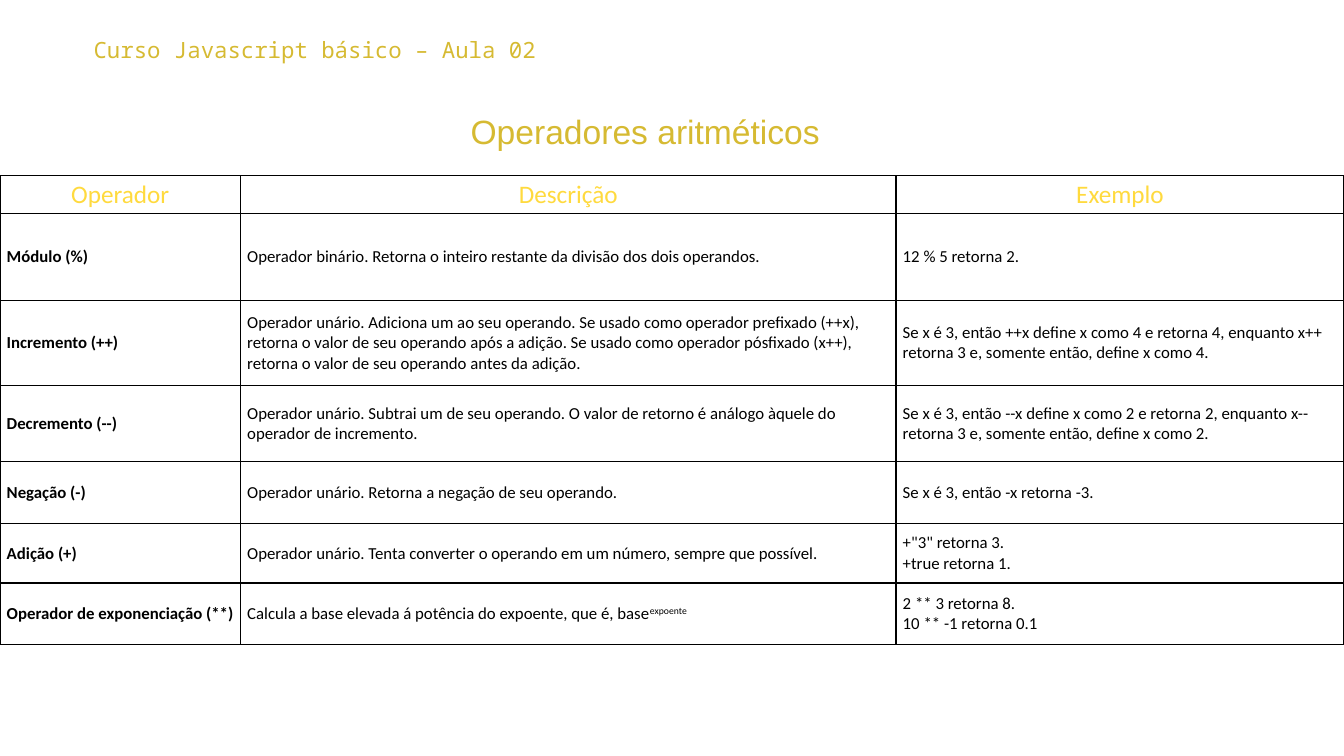
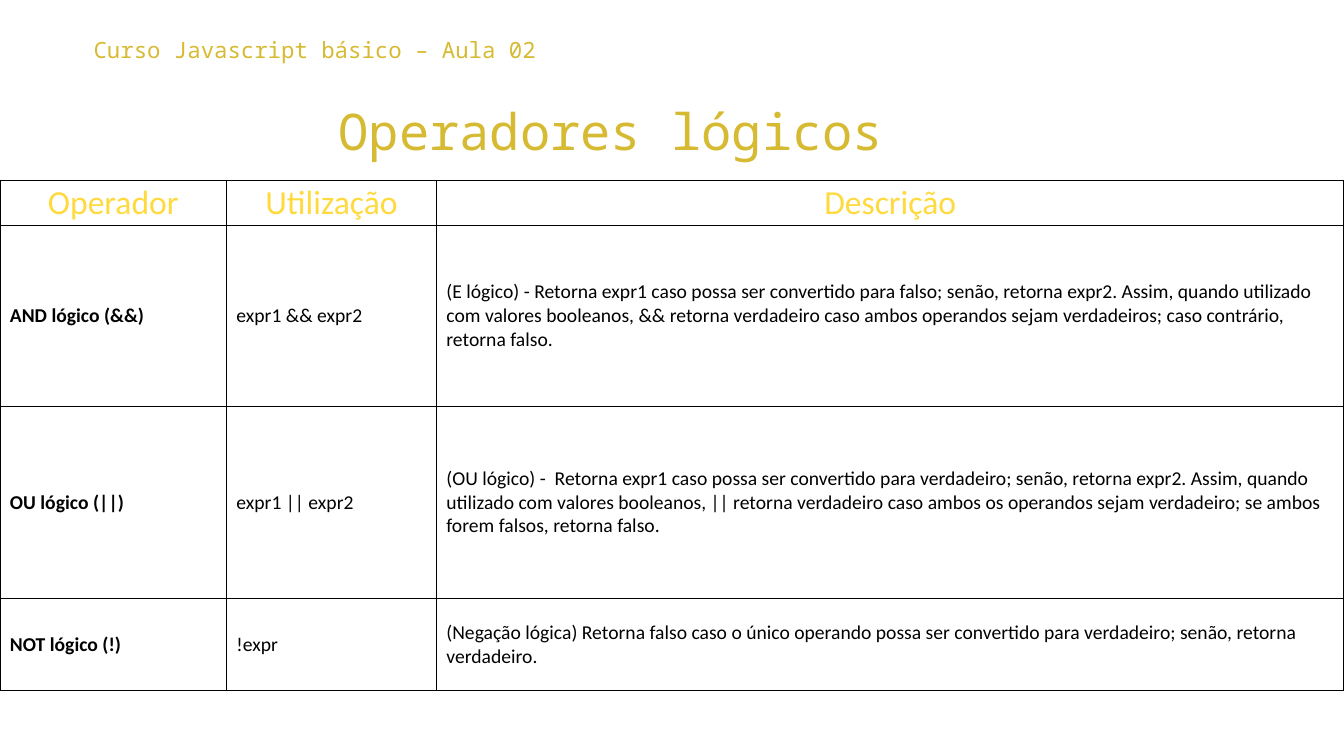
"""Builds two lesson slides with tables of JavaScript operators."""
import lxml.etree
import pptx
import pptx.dml.color
import pptx.enum.text
import pptx.oxml
import pptx.oxml.ns
import pptx.util

Cm = pptx.util.Cm
Pt = pptx.util.Pt
ALIGN = pptx.enum.text.PP_ALIGN
ANCHOR = pptx.enum.text.MSO_ANCHOR
AUTO_SIZE = pptx.enum.text.MSO_AUTO_SIZE

THEME = {
    "gold": pptx.dml.color.RGBColor.from_string("D6BA32"),
    "yellow": pptx.dml.color.RGBColor.from_string("FFDA3E"),
    "black": pptx.dml.color.RGBColor.from_string("000000"),
    "white": pptx.dml.color.RGBColor.from_string("FFFFFF"),
    "border": "000000",
    "border_width": Pt(1),
    "mono": "Noto Sans Mono",
    "sans": "Arial",
    "table": "Calibri",
    "course_size": 16,
}

COURSE = {
    "text": "Curso Javascript básico – Aula 02",
    "box": (2.03, 0.58, 30.56, 1.42),
    "font": {"name": THEME["mono"], "size": Pt(THEME["course_size"])},
    "align": ALIGN.LEFT,
    "frame": {
        "word_wrap": True,
        "margin_left": Cm(0.33),
        "margin_right": Cm(0.33),
        "margin_top": Cm(0.33),
        "margin_bottom": Cm(0.33),
    },
}

SLIDES = [
    {
        "title": {
            "text": "Operadores aritméticos",
            "box": (11.56, 2.67, 9.4, 1.28),
            "font": {"name": THEME["sans"], "size": Pt(24)},
            "align": ALIGN.CENTER,
            "frame": {
                "word_wrap": False,
                "auto_size": AUTO_SIZE.SHAPE_TO_FIT_TEXT,
                "vertical_anchor": ANCHOR.MIDDLE,
            },
        },
        "top": 4.43,
        "columns": [6.06, 16.52, 11.29],
        "rows": [0.93, 2.2, 2.14, 1.92, 1.56, 1.5, 1.55],
        "header_size": 18,
        "body_size": 12,
        "header_margins": (0.17, 0.09),
        "body_margins": (0.17, 0.09),
        "cells": [
            ["Operador", "Descrição", "Exemplo"],
            [
                "Módulo (%)",
                "Operador binário. Retorna o inteiro restante da divisão dos dois operandos.",
                "12 % 5 retorna 2.",
            ],
            [
                "Incremento (++)",
                "Operador unário. Adiciona um ao seu operando. Se usado como operador "
                "prefixado (++x), retorna o valor de seu operando após a adição. Se usado "
                "como operador pósfixado (x++), retorna o valor de seu operando antes da adição.",
                "Se x é 3, então ++x define x como 4 e retorna 4, enquanto x++ retorna 3 e, "
                "somente então, define x como 4.",
            ],
            [
                "Decremento (--)",
                "Operador unário. Subtrai um de seu operando. O valor de retorno é análogo "
                "àquele do operador de incremento.",
                "Se x é 3, então --x define x como 2 e retorna 2, enquanto x-- retorna 3 e, "
                "somente então, define x como 2.",
            ],
            [
                "Negação (-)",
                "Operador unário. Retorna a negação de seu operando.",
                "Se x é 3, então -x retorna -3.",
            ],
            [
                "Adição (+)",
                "Operador unário. Tenta converter o operando em um número, sempre que possível.",
                '+"3" retorna 3.\n+true retorna 1.',
            ],
            [
                "Operador de exponenciação (**) ",
                "Calcula a base elevada á potência do expoente, que é, base^expoente",
                "2 ** 3 retorna 8.\n10 ** -1 retorna 0.1",
            ],
        ],
    },
    {
        "title": {
            "text": "Operadores lógicos",
            "box": (6.91, 2.39, 16.97, 1.8),
            "font": {"name": THEME["mono"], "size": Pt(36)},
            "align": ALIGN.CENTER,
            "frame": {"word_wrap": True, "auto_size": AUTO_SIZE.SHAPE_TO_FIT_TEXT},
        },
        "top": 4.55,
        "columns": [5.71, 5.29, 22.87],
        "rows": [1.13, 4.56, 4.84, 2.32],
        "header_size": 24,
        "body_size": 14,
        "header_margins": (0.1, 0.05),
        "body_margins": (0.25, 0.13),
        "cells": [
            ["Operador", "Utilização", "Descrição"],
            [
                "AND lógico (&&)",
                "expr1 && expr2",
                "(E lógico) - Retorna expr1 caso possa ser convertido para falso; senão, "
                "retorna expr2. Assim, quando utilizado com valores booleanos, && retorna "
                "verdadeiro caso ambos operandos sejam verdadeiros; caso contrário, retorna falso.",
            ],
            [
                "OU lógico (||)",
                "expr1 || expr2",
                "(OU lógico) -  Retorna expr1 caso possa ser convertido para verdadeiro; senão, "
                "retorna expr2. Assim, quando utilizado com valores booleanos, || retorna "
                "verdadeiro caso ambos os operandos sejam verdadeiro; se ambos forem falsos, "
                "retorna falso.",
            ],
            [
                "NOT lógico (!)",
                "!expr",
                "(Negação lógica) Retorna falso caso o único operando possa ser convertido "
                "para verdadeiro; senão, retorna verdadeiro.",
            ],
        ],
    },
]


def write_text(text_frame, text, font_format, color, align):
    """Write one paragraph per line; text after a caret is superscript."""
    for number, line in enumerate(text.split("\n")):
        paragraph = text_frame.add_paragraph() if number else text_frame.paragraphs[0]
        paragraph.alignment = align
        base, _, exponent = line.partition("^")
        for part in filter(None, (base, exponent)):
            run = paragraph.add_run()
            run.text = part
            for name, value in font_format.items():
                setattr(run.font, name, value)
            run.font.color.rgb = color
        if exponent:
            run.font._element.set("baseline", "30000")


def draw_borders(cell):
    """Draw a solid line on the four sides of a cell."""
    properties = cell._tc.get_or_add_tcPr()
    qualify = pptx.oxml.ns.qn
    for side in ("a:lnL", "a:lnR", "a:lnT", "a:lnB"):
        line = lxml.etree.SubElement(properties, qualify(side), w=str(THEME["border_width"]))
        fill = lxml.etree.SubElement(line, qualify("a:solidFill"))
        lxml.etree.SubElement(fill, qualify("a:srgbClr"), val=THEME["border"])


presentation = pptx.Presentation()
presentation.slide_width = Cm(33.87)
presentation.slide_height = Cm(19.05)

for content in SLIDES:
    slide = presentation.slides.add_slide(presentation.slide_layouts[6])

    for label in (COURSE, content["title"]):
        text_frame = slide.shapes.add_textbox(*map(Cm, label["box"])).text_frame
        for name, value in label["frame"].items():
            setattr(text_frame, name, value)
        write_text(text_frame, label["text"], label["font"], THEME["gold"], label["align"])

    columns, rows = content["columns"], content["rows"]
    table = slide.shapes.add_table(
        len(rows), len(columns), Cm(0), Cm(content["top"]), Cm(sum(columns)), Cm(sum(rows))
    ).table
    table.first_row = False
    table.horz_banding = False
    for column, width in zip(table.columns, columns):
        column.width = Cm(width)

    for row_number, (row, height, texts) in enumerate(zip(table.rows, rows, content["cells"])):
        row.height = Cm(height)
        is_header = row_number == 0
        part = "header" if is_header else "body"
        side_margin, end_margin = map(Cm, content[part + "_margins"])
        cell_format = {
            "vertical_anchor": ANCHOR.MIDDLE,
            "margin_left": side_margin,
            "margin_right": side_margin,
            "margin_top": end_margin,
            "margin_bottom": end_margin,
        }
        for column_number, (cell, text) in enumerate(zip(row.cells, texts)):
            for name, value in cell_format.items():
                setattr(cell, name, value)
            draw_borders(cell)
            cell.fill.solid()
            cell.fill.fore_color.rgb = THEME["white"]
            font_format = {
                "name": THEME["table"],
                "size": Pt(content[part + "_size"]),
                "bold": not is_header and column_number == 0,
            }
            color = THEME["yellow"] if is_header else THEME["black"]
            align = ALIGN.CENTER if is_header else ALIGN.LEFT
            write_text(cell.text_frame, text, font_format, color, align)

presentation.save("out.pptx")
